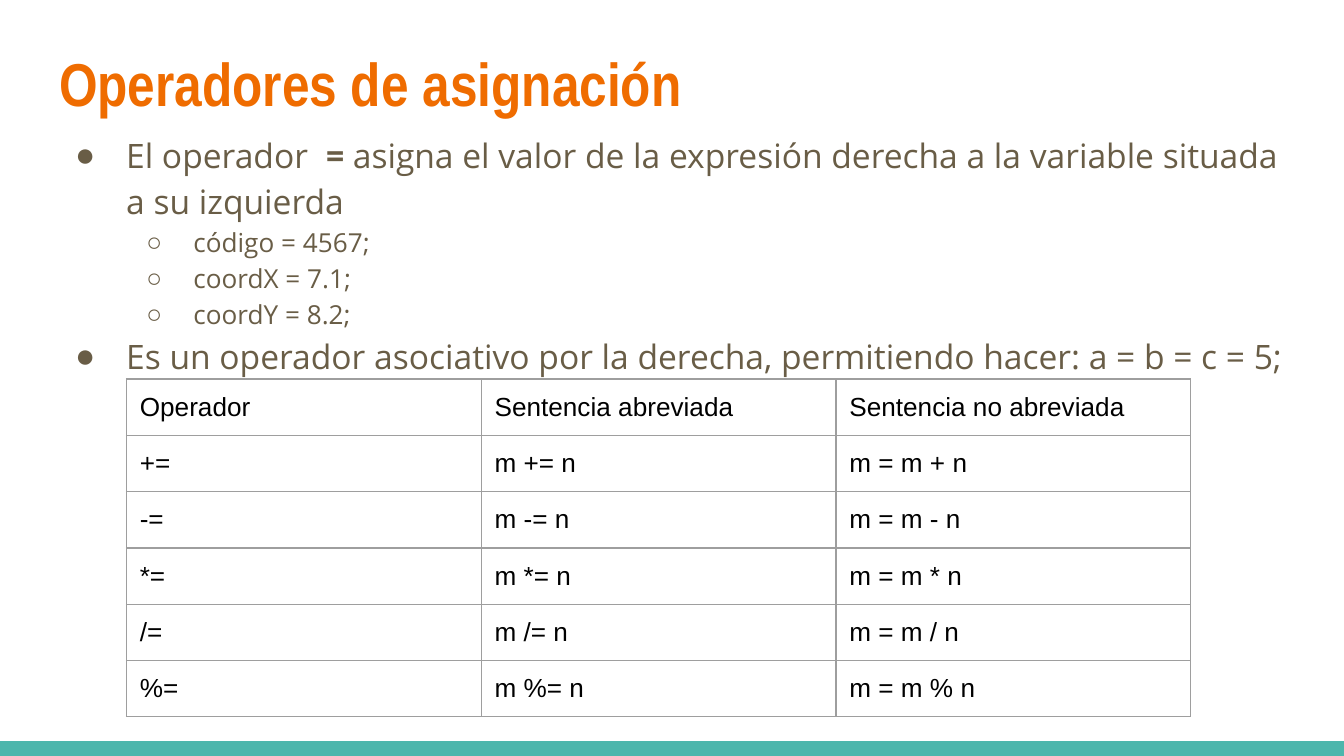
import pptx
import pptx.util
import pptx.dml.color
import pptx.enum.shapes
import pptx.enum.text
import pptx.oxml
import pptx.oxml.ns

Inches, Pt = pptx.util.Inches, pptx.util.Pt
RGBColor = pptx.dml.color.RGBColor
ANCHOR = pptx.enum.text.MSO_ANCHOR
ORANGE = RGBColor(0xEF, 0x6C, 0x00)
BROWN = RGBColor(0x69, 0x5D, 0x46)
TEAL = RGBColor(0x4D, 0xB6, 0xAC)
GREY = RGBColor(0x9E, 0x9E, 0x9E)
BLACK = RGBColor(0, 0, 0)

WIDTH = 10
HEIGHT = WIDTH * 9 / 16
BAR = 0.11
PAD = Inches(0.1)
MARGINS = dict(margin_left=PAD, margin_right=PAD, margin_top=PAD, margin_bottom=PAD)
LEVELS = [
    dict(bullet="●", left=0.5, hang=0.38, size=18),
    dict(bullet="○", left=1, hang=0.35, size=14),
]
BULLETS = [
    (0, [("El operador ", False), (" = ", True),
         ("asigna el valor de la expresión derecha a la variable situada a su izquierda", False)]),
    (1, [("código = 4567;", False)]),
    (1, [("coordX = 7.1;", False)]),
    (1, [("coordY = 8.2;", False)]),
    (0, [("Es un operador asociativo por la derecha, permitiendo hacer: a = b = c = 5;", False)]),
]
HEADERS = ["Operador", "Sentencia abreviada", "Sentencia no abreviada"]
OPERATORS = "+-*/%"


def apply(obj, values):
    for name, value in values.items():
        setattr(obj, name, value)


def add_run(p, text, color, **font):
    r = p.add_run()
    r.text = text
    apply(r.font, font)
    r.font.color.rgb = color


def set_bullet(p, level):
    pPr = p._p.get_or_add_pPr()
    pPr.set("marL", str(Inches(level["left"])))
    pPr.set("indent", str(-Inches(level["hang"])))
    ns = pptx.oxml.ns.nsdecls("a")
    for xml in (f'<a:buClr {ns}><a:srgbClr val="{BROWN}"/></a:buClr>',
                f'<a:buFont {ns} typeface="Arial"/>',
                f'<a:buChar {ns} char="{level["bullet"]}"/>'):
        pPr.append(pptx.oxml.parse_xml(xml))


def set_borders(cell):
    tcPr = cell._tc.get_or_add_tcPr()
    ns = pptx.oxml.ns.nsdecls("a")
    for i, side in enumerate(("lnL", "lnR", "lnT", "lnB")):
        tcPr.insert(i, pptx.oxml.parse_xml(
            f'<a:{side} {ns} w="{Pt(0.75)}"><a:solidFill><a:srgbClr val="{GREY}"/>'
            f'</a:solidFill></a:{side}>'))


def add_footer_bar(s, x, y, w, h):
    sp = s.shapes.add_shape(pptx.enum.shapes.MSO_SHAPE.RECTANGLE,
                            Inches(x), Inches(y), Inches(w), Inches(h))
    sp.shadow.inherit = False
    sp.fill.solid()
    sp.fill.fore_color.rgb = TEAL
    sp.line.fill.background()


def place_title(s, x, y, w, h):
    sp = s.shapes.title
    apply(sp, dict(left=Inches(x), top=Inches(y), width=Inches(w), height=Inches(h)))
    tf = sp.text_frame
    apply(tf, dict(MARGINS, word_wrap=True, vertical_anchor=ANCHOR.TOP,
                   auto_size=pptx.enum.text.MSO_AUTO_SIZE.NONE))
    p = tf.paragraphs[0]
    p.alignment = pptx.enum.text.PP_ALIGN.LEFT
    add_run(p, "Operadores de asignación", ORANGE,
            name="Arial Narrow", size=Pt(32.4), bold=True)


def add_operator_table(s, x, y, w, h):
    rows = [HEADERS] + [[f"{op}=", f"m {op}= n", f"m = m {op} n"] for op in OPERATORS]
    table = s.shapes.add_table(len(rows), len(HEADERS), Inches(x), Inches(y),
                               Inches(w), Inches(h)).table
    apply(table, dict(first_row=False, horz_banding=False))
    for i, row in enumerate(rows):
        for j, text in enumerate(row):
            cell = table.cell(i, j)
            apply(cell, MARGINS)
            cell.fill.background()
            set_borders(cell)
            add_run(cell.text_frame.paragraphs[0], text, BLACK, name="Arial", size=Pt(14))


def add_body(s, x, y, w, h):
    tf = s.shapes.add_textbox(Inches(x), Inches(y), Inches(w), Inches(h)).text_frame
    apply(tf, dict(MARGINS, word_wrap=True, vertical_anchor=ANCHOR.TOP))
    for i, (depth, runs) in enumerate(BULLETS):
        p = tf.add_paragraph() if i else tf.paragraphs[0]
        apply(p, dict(level=depth, line_spacing=1.15))
        set_bullet(p, LEVELS[depth])
        for text, strong in runs:
            add_run(p, text, BROWN, name="Open Sans", size=Pt(LEVELS[depth]["size"]),
                    bold=strong, italic=strong)


def main():
    prs = pptx.Presentation()
    apply(prs, dict(slide_width=Inches(WIDTH), slide_height=Inches(HEIGHT)))
    s = prs.slides.add_slide(prs.slide_layouts.get_by_name("Title Only"))
    add_footer_bar(s, 0, HEIGHT - BAR, WIDTH, BAR)
    place_title(s, 0.34, 0.24, 9.32, 0.77)
    add_operator_table(s, 0.94, 2.82, 7.92, 2.5)
    add_body(s, 0.34, 0.86, 9.32, 2.05)
    prs.save("out.pptx")


if __name__ == "__main__":
    main()
